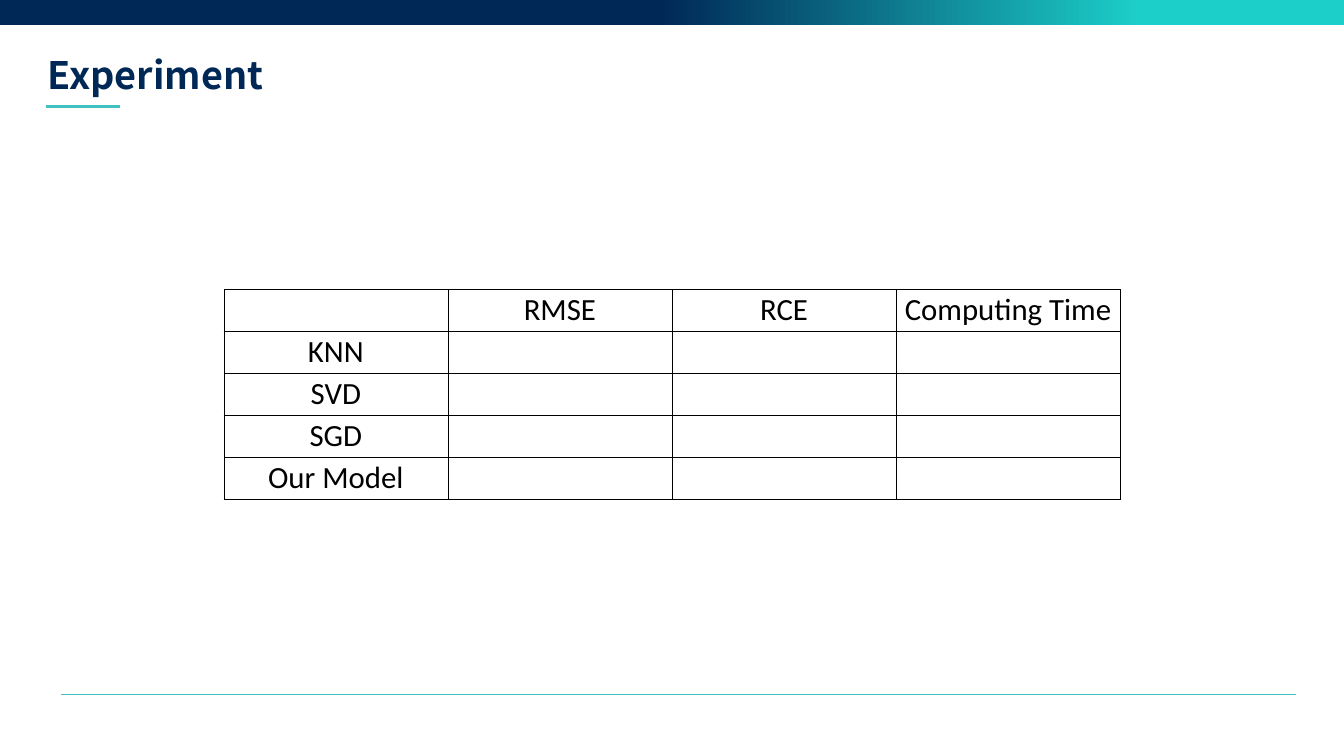
from dataclasses import dataclass

from lxml.etree import SubElement as Sub
from pptx import Presentation
from pptx.dml.color import RGBColor as Rgb
from pptx.enum.shapes import MSO_CONNECTOR as Conn, MSO_SHAPE as Kind
from pptx.enum.text import MSO_ANCHOR as Anchor, PP_ALIGN as Align
from pptx.oxml.ns import qn
from pptx.slide import Slide
from pptx.table import _Cell as Cell
from pptx.text.text import TextFrame as Frame
from pptx.util import Pt

SCALE = 9144
COLORS = {
    "navy": "002856",
    "aqua": "1CCFC9",
    "teal": "43C0C2",
    "black": "000000",
    "white": "FFFFFF",
}
METHODS = ["KNN", "SVD", "SGD", "Our Model"]
SCORES = ["RMSE", "RCE", "Computing Time"]


@dataclass
class Rule:
    left: int
    right: int
    y: int
    weight: float


@dataclass
class Style:
    font: str
    size: int
    color: str
    bold: bool = False


RULES = [Rule(92, 238, 211, 4.5), Rule(122, 2571, 1378, 0.5)]
TITLE = Style("Noto Sans CJK KR", 54, "navy", True)
BODY = Style("Calibri", 44, "black")


def px(n: int) -> int:
    return n * SCALE


def rgb(name: str) -> Rgb:
    return Rgb.from_string(COLORS[name])


def write(frame: Frame, text: str, style: Style, align: Align) -> None:
    frame.text = text
    para = frame.paragraphs[0]
    para.alignment = align
    for run in para.runs:
        font = run.font
        font.name = style.font
        font.size = Pt(style.size)
        font.bold = style.bold
        font.color.rgb = rgb(style.color)


def draw_band(slide: Slide) -> None:
    band = slide.shapes.add_shape(Kind.RECTANGLE, 0, 0, px(2666), px(49))
    band.shadow.inherit = False
    band.line.fill.background()
    band.fill.gradient()
    band.fill.gradient_angle = 0
    ends = [(0.49, "navy"), (0.85, "aqua")]
    for stop, (place, color) in zip(band.fill.gradient_stops, ends):
        stop.position = place
        stop.color.rgb = rgb(color)


def draw_title(slide: Slide) -> None:
    box = slide.shapes.add_textbox(px(85), px(98), px(615), px(101))
    frame = box.text_frame
    frame.word_wrap = True
    frame.vertical_anchor = Anchor.MIDDLE
    write(frame, "Experiment", TITLE, Align.LEFT)


def draw_rule(slide: Slide, rule: Rule) -> None:
    line = slide.shapes.add_connector(
        Conn.STRAIGHT, px(rule.left), px(rule.y), px(rule.right), px(rule.y)
    )
    line.line.color.rgb = rgb("teal")
    line.line.width = Pt(rule.weight)
    Sub(line._element.spPr, qn("a:effectLst"))


def frame_cell(cell: Cell) -> None:
    props = cell._tc.get_or_add_tcPr()
    for side in ("lnL", "lnR", "lnT", "lnB"):
        edge = Sub(props, qn(f"a:{side}"), w=str(Pt(1)))
        fill = Sub(edge, qn("a:solidFill"))
        Sub(fill, qn("a:srgbClr"), val=COLORS["black"])


def draw_table(slide: Slide) -> None:
    rows = [["", *SCORES]] + [[name] + [""] * len(SCORES) for name in METHODS]
    table = slide.shapes.add_table(
        len(rows), len(rows[0]), px(444), px(574), px(1778), px(417)
    ).table
    table.first_row = False
    table.horz_banding = False
    for r, row in enumerate(rows):
        for c, text in enumerate(row):
            cell = table.cell(r, c)
            frame_cell(cell)
            cell.fill.solid()
            cell.fill.fore_color.rgb = rgb("white")
            cell.margin_top = cell.margin_bottom = px(3)
            cell.vertical_anchor = Anchor.MIDDLE
            if text:
                write(cell.text_frame, text, BODY, Align.CENTER)


def main() -> None:
    deck = Presentation()
    deck.slide_width, deck.slide_height = px(2666), px(1500)
    slide = deck.slides.add_slide(deck.slide_layouts[6])
    draw_band(slide)
    draw_title(slide)
    for rule in RULES:
        draw_rule(slide, rule)
    draw_table(slide)
    deck.save("out.pptx")


if __name__ == "__main__":
    main()
